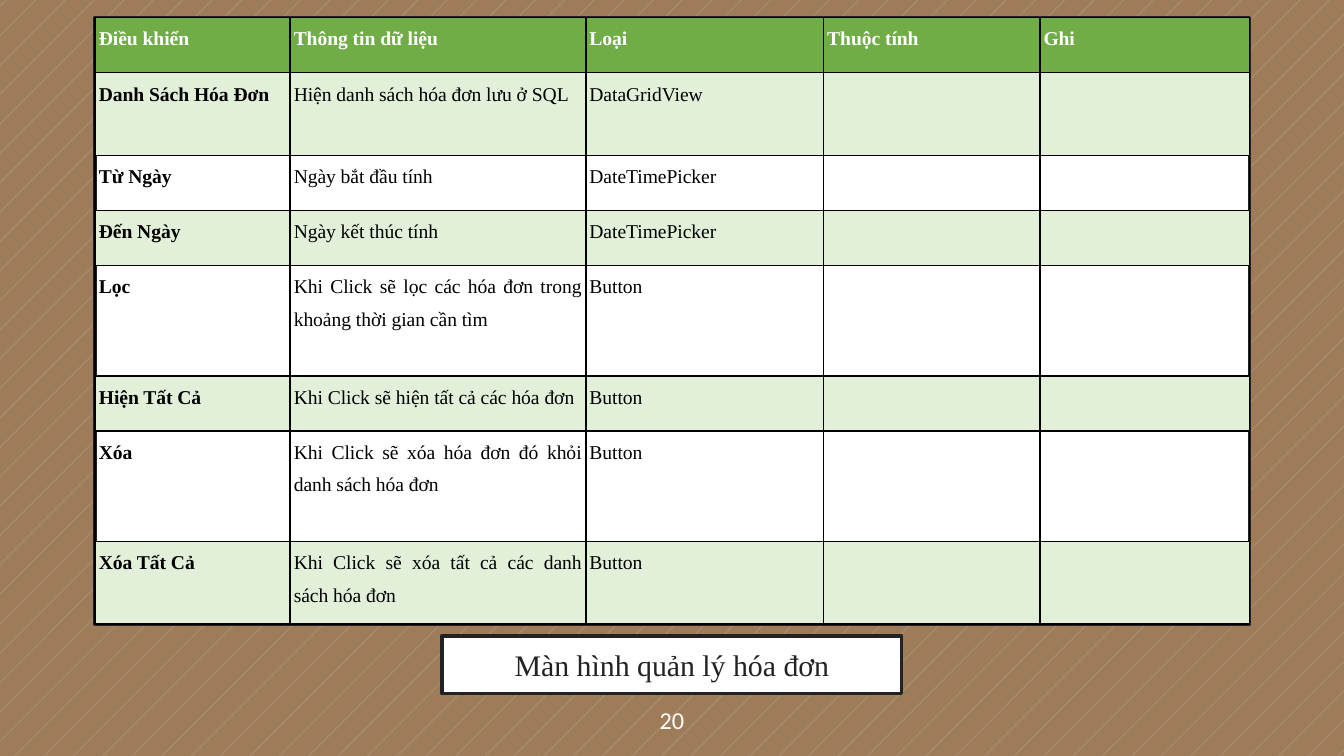
from lxml import etree
from pptx import Presentation
from pptx.dml.color import RGBColor
from pptx.enum import shapes, text
from pptx.oxml.ns import qn
from pptx.util import Pt

BROWN = RGBColor(0x9E, 0x7C, 0x59)
WHITE = RGBColor(0xFF, 0xFF, 0xFF)
BLACK = RGBColor(0x00, 0x00, 0x00)
CHARCOAL = RGBColor(0x22, 0x22, 0x22)
GREEN = RGBColor(0x70, 0xAD, 0x47)
PALE_GREEN = RGBColor(0xE2, 0xEF, 0xD9)

SLIDE_WIDTH, SLIDE_HEIGHT = 720, 405
SERIF = "Times New Roman"

COLUMN_WIDTHS = [104.4, 158.4, 127.4, 115.9, 112.3]
ROW_UNITS = [2, 3, 2, 2, 4, 2, 4, 3]  # relative row heights
ROWS = [
    ["Điều khiển", "Thông tin dữ liệu", "Loại", "Thuộc tính", "Ghi"],
    ["Danh Sách Hóa Đơn", "Hiện danh sách hóa đơn lưu ở SQL", "DataGridView"],
    ["Từ Ngày", "Ngày bắt đầu tính", "DateTimePicker"],
    ["Đến Ngày", "Ngày kết thúc tính", "DateTimePicker"],
    ["Lọc", "Khi Click sẽ lọc các hóa đơn trong khoảng thời gian cần tìm", "Button"],
    ["Hiện Tất Cả", "Khi Click sẽ hiện tất cả các hóa đơn", "Button"],
    ["Xóa", "Khi Click sẽ xóa hóa đơn đó khỏi danh sách hóa đơn", "Button"],
    ["Xóa Tất Cả", "Khi Click sẽ xóa tất cả các danh sách hóa đơn", "Button"],
]


def write(frame, words, *, size, color, font=SERIF, bold=False,
          align=text.PP_ALIGN.CENTER, spacing=1.0):
    frame.word_wrap = True
    paragraph = frame.paragraphs[0]
    paragraph.alignment = align
    paragraph.line_spacing = spacing
    run = paragraph.add_run()
    run.text = words
    run.font.name = font
    run.font.size = Pt(size)
    run.font.bold = bold
    run.font.color.rgb = color


def add_panel(slide, left, top, width, height):
    """White rectangle with a dark outline."""
    panel = slide.shapes.add_shape(shapes.MSO_SHAPE.RECTANGLE, Pt(left), Pt(top),
                                   Pt(width), Pt(height))
    panel.shadow.inherit = False
    panel.fill.solid()
    panel.fill.fore_color.rgb = WHITE
    panel.line.color.rgb = CHARCOAL
    panel.line.width = Pt(2)
    return panel


def add_stripes(slide, width, height, first=2.9, step=15.75, thickness=1.05):
    """Faint diagonal stripes; on each edge of a stripe, x + y is constant."""
    def edge(total):
        upper = (min(total, width), max(0, total - width))
        lower = (max(0, total - height), min(total, height))
        return [tuple(Pt(value) for value in point) for point in (upper, lower)]

    count = int((width + height - first) / step) + 1
    builder = None
    for index in range(count):
        start = first + index * step
        upper, lower = edge(start)
        far_upper, far_lower = edge(start + thickness)
        if builder is None:
            builder = slide.shapes.build_freeform(*upper, scale=1.0)
        else:
            builder.move_to(*upper)
        builder.add_line_segments([lower, far_lower, far_upper], close=True)
    stripes = builder.convert_to_shape()
    stripes.shadow.inherit = False
    stripes.line.fill.background()
    stripes.fill.solid()
    stripes.fill.fore_color.rgb = WHITE
    color = stripes._element.spPr.find(qn("a:solidFill"))[0]
    etree.SubElement(color, qn("a:alpha")).set("val", "10000")


def add_borders(cell):
    properties = cell._tc.get_or_add_tcPr()
    for side in ("lnL", "lnR", "lnT", "lnB"):
        line = etree.SubElement(properties, qn("a:" + side), w=str(Pt(1)))
        fill = etree.SubElement(line, qn("a:solidFill"))
        etree.SubElement(fill, qn("a:srgbClr"), val=str(BLACK))


def add_control_table(slide, left, top, width, height):
    add_panel(slide, left, top, width, height)  # backing behind the table
    table = slide.shapes.add_table(len(ROWS), len(COLUMN_WIDTHS), Pt(left), Pt(top),
                                   Pt(width), Pt(height)).table
    table.horz_banding = False
    for column, column_width in zip(table.columns, COLUMN_WIDTHS):
        column.width = Pt(column_width)
    for row, units in zip(table.rows, ROW_UNITS):
        row.height = Pt(height * units / sum(ROW_UNITS))

    for row_index, words in enumerate(ROWS):
        header = row_index == 0
        for column_index in range(len(COLUMN_WIDTHS)):
            cell = table.cell(row_index, column_index)
            cell.margin_left = cell.margin_right = Pt(2)
            cell.margin_top = cell.margin_bottom = 0
            add_borders(cell)
            if header or row_index % 2:
                cell.fill.solid()
                cell.fill.fore_color.rgb = GREEN if header else PALE_GREEN
            else:
                cell.fill.background()
            if column_index < len(words):
                write(cell.text_frame, words[column_index], size=10.5,
                      color=WHITE if header else BLACK,
                      bold=header or column_index == 0,
                      align=text.PP_ALIGN.JUSTIFY, spacing=1.5)


def add_caption(slide, left, top, width, height):
    caption = add_panel(slide, left, top, width, height)
    caption.text_frame.vertical_anchor = text.MSO_ANCHOR.MIDDLE
    write(caption.text_frame, "Màn hình quản lý hóa đơn", size=16, color=CHARCOAL)


def add_page_number(slide, left, top, width, height):
    box = slide.shapes.add_textbox(Pt(left), Pt(top), Pt(width), Pt(height))
    box.text_frame.vertical_anchor = text.MSO_ANCHOR.MIDDLE
    write(box.text_frame, "20", size=13, color=WHITE, font="Calibri")


def main():
    presentation = Presentation()
    presentation.slide_width = Pt(SLIDE_WIDTH)
    presentation.slide_height = Pt(SLIDE_HEIGHT)
    slide = presentation.slides.add_slide(presentation.slide_layouts[6])

    # Background
    slide.background.fill.solid()
    slide.background.fill.fore_color.rgb = BROWN
    add_stripes(slide, SLIDE_WIDTH, SLIDE_HEIGHT)

    # Content
    add_page_number(slide, 0, 366, SLIDE_WIDTH, 39)
    add_caption(slide, 237, 340.6, 246, 31)
    add_control_table(slide, 51, 9.4, sum(COLUMN_WIDTHS), 325)

    presentation.save("out.pptx")


if __name__ == "__main__":
    main()
